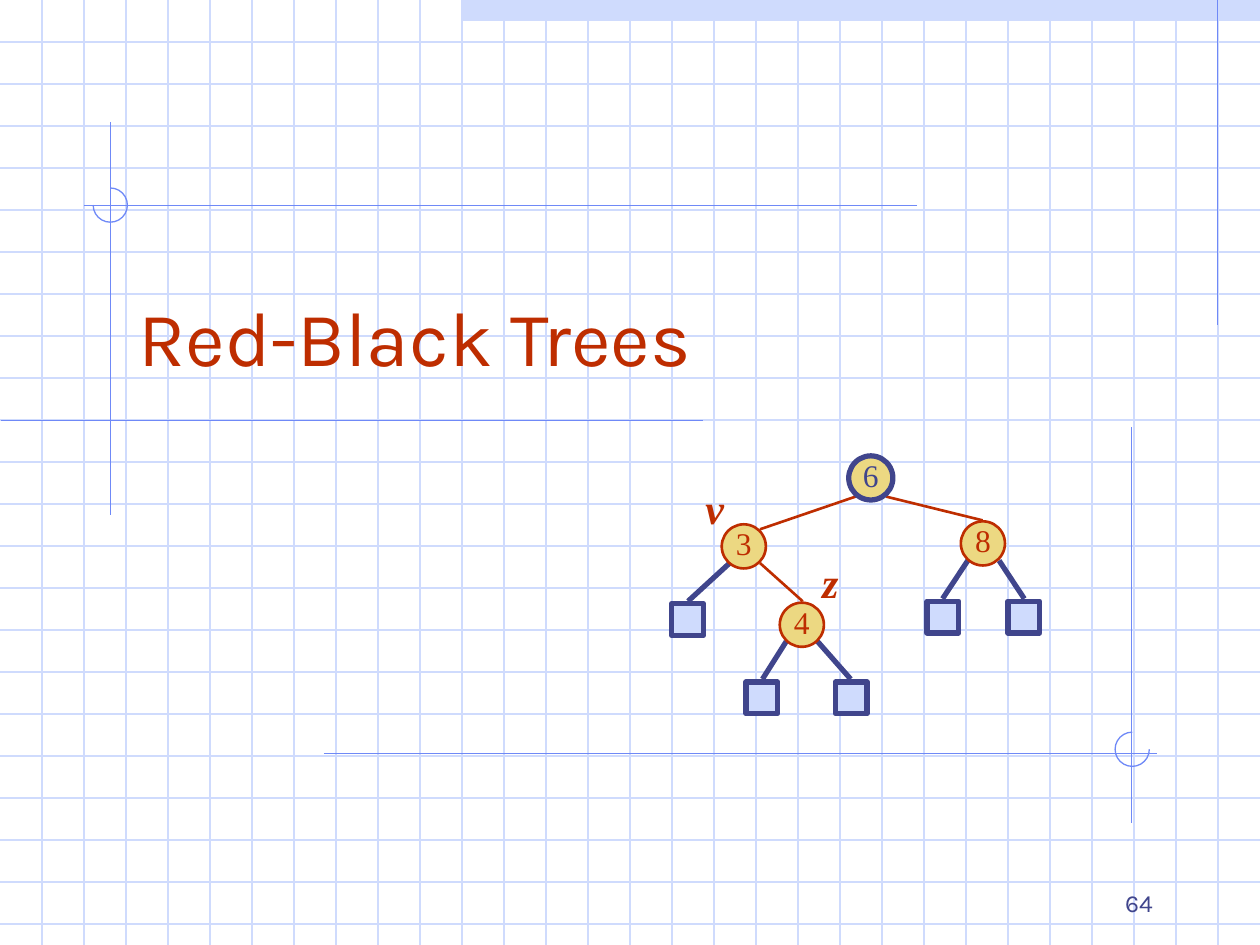
from lxml import etree
from pptx import Presentation
from pptx.dml.color import RGBColor
from pptx.enum import shapes, text
from pptx.oxml import ns
from pptx.util import Cm, Pt

COLORS = {"pale": "CFDBFD", "blue": "6F89F7", "navy": "40458C",
          "red": "BE2D00", "gold": "ECD882"}
WIDTH, HEIGHT = 25.4, 19.05
STEP = 2.54 / 3

deck = Presentation()
deck.slide_width, deck.slide_height = Cm(WIDTH), Cm(HEIGHT)
page = deck.slides.add_slide(deck.slide_layouts[5])


def add_line(start_x, start_y, end_x, end_y, color, weight):
    line = page.shapes.add_connector(
        shapes.MSO_CONNECTOR.STRAIGHT, Cm(start_x), Cm(start_y), Cm(end_x), Cm(end_y))
    line.line.color.rgb = RGBColor.from_string(COLORS[color])
    line.line.width = Pt(weight)
    etree.SubElement(line._element.spPr, ns.qn("a:effectLst"))


def write(box, words, color, align, anchor, **font):
    frame = box.text_frame
    frame.vertical_anchor = anchor
    para = frame.paragraphs[0]
    para.alignment = align
    span = para.add_run()
    span.text = words
    span.font.color.rgb = RGBColor.from_string(COLORS[color])
    for name, value in font.items():
        setattr(span.font, name, value)


band = page.shapes.add_shape(
    shapes.MSO_SHAPE.RECTANGLE, Cm(11 * STEP), 0, Cm(WIDTH - 11 * STEP), Cm(STEP / 2))
band.shadow.inherit = False
band.fill.solid()
band.fill.fore_color.rgb = RGBColor.from_string(COLORS["pale"])
band.line.fill.background()

for row in range(1, 23):
    add_line(0, row * STEP, WIDTH, row * STEP, "pale", 0.75)
for column in range(1, 30):
    add_line(column * STEP, 0, column * STEP, HEIGHT, "pale", 0.75)

for ends in [(24.55, 0, 24.55, 6.55), (2.23, 2.46, 2.23, 10.39),
             (14.17, 8.48, 0.02, 8.48), (18.49, 4.14, 1.7, 4.14),
             (6.53, 15.19, 23.32, 15.19), (22.81, 8.61, 22.81, 16.59)]:
    add_line(*ends, "blue", 0.75)

for left, top, start, end in [(1.88, 3.79, 270, 180), (22.48, 14.76, 0, 270)]:
    arc = page.shapes.add_shape(shapes.MSO_SHAPE.ARC, Cm(left), Cm(top), Cm(0.69), Cm(0.69))
    arc.shadow.inherit = False
    arc.adjustments[0], arc.adjustments[1] = start * 0.6, end * 0.6
    arc.fill.background()
    arc.line.color.rgb = RGBColor.from_string(COLORS["blue"])
    arc.line.width = Pt(0.75)

title = page.shapes.title
page.shapes._spTree.append(title._element)
title.left, title.top, title.width, title.height = Cm(2.54), Cm(4.65), Cm(21.59), Cm(3.18)
write(title, "Red-Black Trees", "red", text.PP_ALIGN.LEFT, text.MSO_ANCHOR.BOTTOM,
      name="Karla", size=Pt(44))

for ends in [(19.81, 10.49, 17.86, 10.01), (15.32, 10.67, 17.25, 10.01),
             (16.18, 12.12, 15.32, 11.35)]:
    add_line(*ends, "red", 1.5)
for ends in [(13.87, 12.12, 14.71, 11.35), (20.65, 12.07, 20.14, 11.3),
             (19, 12.07, 19.51, 11.3), (17.15, 13.69, 16.48, 12.93),
             (15.37, 13.69, 15.85, 12.93)]:
    add_line(*ends, "navy", 3)

for key, left, top, color, weight in [
        ("6", 17.11, 9.19, "navy", 3), ("3", 14.55, 10.57, "red", 1.5),
        ("8", 19.37, 10.51, "red", 1.5), ("4", 15.72, 12.15, "red", 1.5)]:
    node = page.shapes.add_shape(shapes.MSO_SHAPE.OVAL, Cm(left), Cm(top), Cm(0.89), Cm(0.89))
    node.shadow.inherit = False
    node.fill.solid()
    node.fill.fore_color.rgb = RGBColor.from_string(COLORS["gold"])
    node.line.color.rgb = RGBColor.from_string(COLORS[color])
    node.line.width = Pt(weight)
    for name, value in {"margin_left": 0, "margin_right": 0, "margin_top": 0,
                        "margin_bottom": Cm(0.13), "word_wrap": False}.items():
        setattr(node.text_frame, name, value)
    write(node, key, color, text.PP_ALIGN.CENTER, text.MSO_ANCHOR.MIDDLE,
          name="Times New Roman", size=Pt(18))

for left, top in [(13.54, 12.17), (18.69, 12.12), (20.32, 12.12),
                  (15.04, 13.75), (16.84, 13.75)]:
    leaf = page.shapes.add_shape(
        shapes.MSO_SHAPE.RECTANGLE, Cm(left), Cm(top), Cm(0.64), Cm(0.64))
    leaf.shadow.inherit = False
    leaf.fill.solid()
    leaf.fill.fore_color.rgb = RGBColor.from_string(COLORS["pale"])
    leaf.line.color.rgb = RGBColor.from_string(COLORS["navy"])
    leaf.line.width = Pt(3)

for label, left, top in [("v", 13.97, 9.6), ("z", 16.31, 11.1)]:
    box = page.shapes.add_textbox(Cm(left), Cm(top), Cm(0.86), Cm(1.27))
    box.text_frame.word_wrap = True
    write(box, label, "red", text.PP_ALIGN.CENTER, text.MSO_ANCHOR.TOP,
          name="Times New Roman", size=Pt(24), bold=True, italic=True)

number = page.shapes.add_textbox(Cm(18.21), Cm(17.35), Cm(5.28), Cm(1.27))
number.text_frame.word_wrap = True
write(number, "64", "navy", text.PP_ALIGN.RIGHT, text.MSO_ANCHOR.BOTTOM,
      name="Karla", size=Pt(14))

deck.save("out.pptx")
